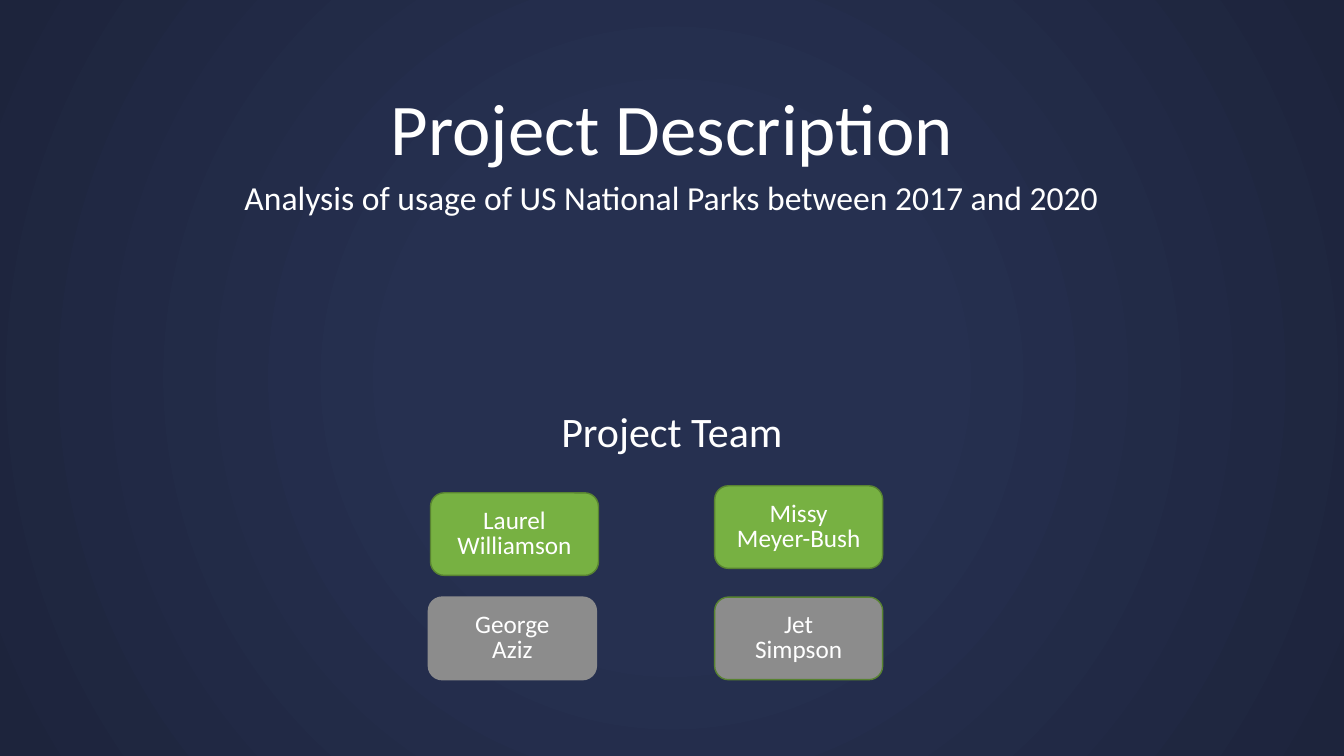
from lxml import etree
from pptx import Presentation
from pptx import util as u
from pptx.dml import color
from pptx.enum import shapes, text
from pptx.oxml import ns

Pt = u.Pt
FONT = "Calibri"
COLORS = {
    "white": "FFFFFF",
    "navy": "263050",
    "dark_navy": "1D243C",
    "green": "77B142",
    "dark_green": "588331",
    "gray": "8C8C8C",
}
CARD_SIZE = (120, 59)

# Left, top, fill, outline, paragraphs
TEAM = [
    (307.5, 352, "green", "dark_green", ["Laurel Williamson"]),
    (510.5, 347, "green", "dark_green", ["Missy", "Meyer-Bush"]),
    (306, 426.5, "gray", "gray", ["George", "Aziz"]),
    (510.5, 426.5, "gray", "dark_green", ["Jet", "Simpson"]),
]


def rgb(name):
    return color.RGBColor.from_string(COLORS[name])


def paint_background(page):
    fill = page.background.fill
    fill.gradient()
    stops = [(0.32, "navy"), (1, "dark_navy")]
    for stop, (position, name) in zip(fill.gradient_stops, stops):
        stop.position = position
        stop.color.rgb = rgb(name)
    # Radiate from the centre of the page
    gradient = page.element.find(".//" + ns.qn("a:gradFill"))
    gradient.remove(gradient.find(ns.qn("a:lin")))
    radial = etree.SubElement(gradient, ns.qn("a:path"), path="circle")
    etree.SubElement(radial, ns.qn("a:fillToRect"),
                     l="50000", t="50000", r="50000", b="50000")


def write(shape, lines, size, spacing, anchor):
    frame = shape.text_frame
    frame.word_wrap = True
    frame.auto_size = text.MSO_AUTO_SIZE.NONE
    frame.vertical_anchor = anchor
    for index, line in enumerate(lines):
        para = frame.add_paragraph() if index else frame.paragraphs[0]
        para.alignment = text.PP_ALIGN.CENTER
        para.line_spacing = spacing
        span = para.add_run()
        span.text = line
        span.font.name = FONT
        span.font.size = Pt(size)
        span.font.color.rgb = rgb("white")


def set_title(page, line, left, top, width, height):
    title = page.shapes.title
    title.left, title.top = Pt(left), Pt(top)
    title.width, title.height = Pt(width), Pt(height)
    write(title, [line], 52, 0.9, text.MSO_ANCHOR.BOTTOM)


def add_heading(page, line, left, top, width, height, size, anchor):
    box = page.shapes.add_textbox(Pt(left), Pt(top), Pt(width), Pt(height))
    write(box, [line], size, 0.9, anchor)


def add_card(page, left, top, fill, outline, lines):
    width, height = CARD_SIZE
    card = page.shapes.add_shape(shapes.MSO_SHAPE.ROUNDED_RECTANGLE,
                                 Pt(left), Pt(top), Pt(width), Pt(height))
    card.shadow.inherit = False
    card.fill.solid()
    card.fill.fore_color.rgb = rgb(fill)
    card.line.color.rgb = rgb(outline)
    card.line.width = Pt(1)
    write(card, lines, 18, Pt(18), text.MSO_ANCHOR.MIDDLE)


def main():
    deck = Presentation()
    deck.slide_width, deck.slide_height = Pt(960), Pt(540)
    page = deck.slides.add_slide(deck.slide_layouts[5])
    paint_background(page)

    # Project heading
    set_title(page, "Project Description", 120, 42, 720, 84)
    add_heading(page, "Analysis of usage of US National Parks between 2017 and 2020",
                119.5, 126, 720, 90, 24, text.MSO_ANCHOR.TOP)

    # Project team
    add_heading(page, "Project Team", 120, 246, 720, 84, 30, text.MSO_ANCHOR.BOTTOM)
    for member in TEAM:
        add_card(page, *member)

    deck.save("out.pptx")


if __name__ == "__main__":
    main()
